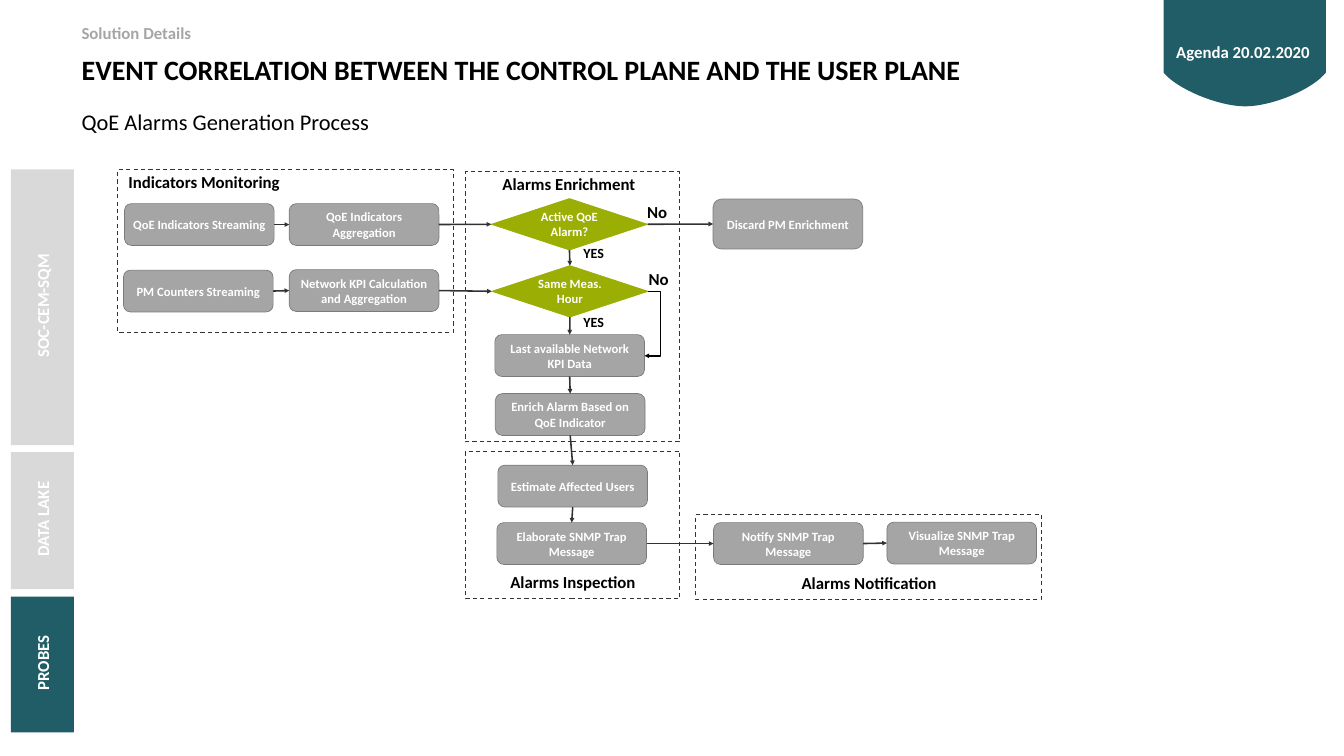
from lxml import etree
from pptx import Presentation, util as u
from pptx.dml.color import RGBColor
from pptx.enum import dml, shapes, text
from pptx.oxml.ns import qn

TEAL, PALE, GREY, EDGE = "215D66", "D9D9D9", "A5A5A5", "7A7A7A"
GREEN, DARK, BLACK, WHITE = "9AAE04", "323232", "000000", "FFFFFF"
TOP, LEFT, BOTTOM, RIGHT = range(4)
CENTER = text.PP_ALIGN.CENTER
MIDDLE = text.MSO_ANCHOR.MIDDLE


def colour(value):
    return RGBColor.from_string(value)


def write(shape, words, size=18, color=BLACK, bold=True, align=None,
          anchor=text.MSO_ANCHOR.TOP, margins=(0.1, 0.05, 0.1, 0.05), spacing=None):
    frame = shape.text_frame
    frame.word_wrap = True
    frame.auto_size = text.MSO_AUTO_SIZE.NONE
    frame.vertical_anchor = anchor
    frame.margin_left, frame.margin_top, frame.margin_right, frame.margin_bottom = map(u.Inches, margins)
    frame.text = words
    paragraph = frame.paragraphs[0]
    paragraph.alignment = align or text.PP_ALIGN.LEFT
    paragraph.line_spacing = spacing
    font = paragraph.runs[0].font
    font.name, font.size, font.bold = "Calibri", u.Pt(size), bold
    font.color.rgb = colour(color)


class Diagram:
    def __init__(self, slide):
        self.slide = slide

    def title(self, words, *box):
        shape = self.slide.shapes.title
        shape.left, shape.top, shape.width, shape.height = map(u.Inches, box)
        write(shape, words, size=40, margins=(0.1,) * 4)

    def label(self, words, *box, **style):
        write(self.slide.shapes.add_textbox(*map(u.Inches, box)), words, **style)

    def paint(self, shape, fill=None, line=None, width=1):
        shape.shadow.inherit = False
        for part, value in ((shape.fill, fill), (shape.line.fill, line)):
            if value:
                part.solid()
                part.fore_color.rgb = colour(value)
            else:
                part.background()
        if line:
            shape.line.width = u.Pt(width)

    def block(self, kind, box, **look):
        shape = self.slide.shapes.add_shape(kind, *map(u.Inches, box))
        self.paint(shape, **look)
        return shape

    def step(self, words, left, top, width=2.97, height=0.83):
        shape = self.block(shapes.MSO_SHAPE.ROUNDED_RECTANGLE, (left, top, width, height), fill=GREY, line=EDGE)
        write(shape, words, color=WHITE, align=CENTER, anchor=MIDDLE)
        return shape

    def decision(self, words, left, top):
        shape = self.block(shapes.MSO_SHAPE.DIAMOND, (left, top, 3.1, 1.02), fill=GREEN, line=GREEN)
        write(shape, words, color=WHITE, align=CENTER, anchor=MIDDLE)
        return shape

    def stage(self, *box):
        shape = self.block(shapes.MSO_SHAPE.RECTANGLE, box, line=DARK, width=1.5)
        shape.line.dash_style = dml.MSO_LINE.DASH

    def tab(self, words, top, length, fill):
        breadth, middle = 1.25, 0.84
        box = (middle - length / 2, top + (length - breadth) / 2, length, breadth)
        shape = self.block(shapes.MSO_SHAPE.RECTANGLE, box, fill=fill)
        shape.rotation = 270
        write(shape, words, size=24, color=WHITE, align=CENTER, anchor=MIDDLE,
              margins=(0.16, 0.05, 0.1, 0.05))

    def connector(self, kind, points, color):
        line = self.slide.shapes.add_connector(kind, *map(u.Inches, points))
        line.line.width = u.Pt(2.25)
        line.line.color.rgb = colour(color)
        properties = line._element.spPr
        etree.SubElement(properties.find(qn("a:ln")), qn("a:tailEnd"), type="triangle")
        etree.SubElement(properties, qn("a:effectLst"))
        return line

    def arrow(self, source, target, leaving, entering):
        line = self.connector(shapes.MSO_CONNECTOR.STRAIGHT, (0, 0, 1, 1), DARK)
        line.begin_connect(source, leaving)
        line.end_connect(target, entering)

    def elbow(self, start, end, turn):
        line = self.connector(shapes.MSO_CONNECTOR.ELBOW, (*start, *end), BLACK)
        share = round((turn - start[0]) / (end[0] - start[0]) * 100000)
        guides = line._element.spPr.find(qn("a:prstGeom")).get_or_add_avLst()
        etree.SubElement(guides, qn("a:gd"), name="adj1", fmla=f"val {share}")

    def ribbon(self, left, right, shoulder, tip):
        def curve(*controls, count=16):
            weights = (1, 3, 3, 1)
            for index in range(1, count + 1):
                t = index / count
                yield tuple(u.Inches(sum(w * (1 - t) ** (3 - k) * t ** k * point[axis]
                                         for k, (w, point) in enumerate(zip(weights, controls))))
                            for axis in (0, 1))

        bottom = (24.71, tip)
        outline = [(u.Inches(right), 0), (u.Inches(right), u.Inches(shoulder))]
        outline += curve((right, shoulder), (26.05, 1.77), (25.25, tip), bottom)
        outline += curve(bottom, (24.18, tip), (23.36, 1.77), (left, shoulder))
        builder = self.slide.shapes.build_freeform(u.Inches(left), 0)
        builder.add_line_segments(outline, close=True)
        self.paint(builder.convert_to_shape(), fill=TEAL)


def main():
    presentation = Presentation()
    presentation.slide_width, presentation.slide_height = u.Inches(26.67), u.Inches(15)
    diagram = Diagram(presentation.slides.add_slide(presentation.slide_layouts[5]))

    diagram.ribbon(23.09, 26.31, 1.44, 2.11)
    diagram.title("EVENT CORRELATION BETWEEN THE CONTROL PLANE AND THE USER PLANE", 1.52, 0.95, 20.59, 1.56)
    diagram.label("QoE Alarms Generation Process", 1.52, 2.1, 23.6, 0.64, size=32, bold=False)
    diagram.label("Solution Details", 1.52, 0.36, 10.83, 0.55, size=24, color="A6A6A6", margins=(0.1,) * 4)
    diagram.label("Agenda 20.02.2020", 22.67, 0.31, 3.99, 1.47, size=24, color=WHITE,
                  align=CENTER, anchor=MIDDLE, spacing=0.9)

    for words, top, length, fill in (("SOC-CEM-SQM", 3.36, 5.47, PALE),
                                     ("DATA LAKE", 8.97, 2.72, PALE),
                                     ("PROBES", 11.84, 2.69, TEAL)):
        diagram.tab(words, top, length, fill)

    for box in ((2.34, 3.37, 6.65, 3.23), (9.23, 3.41, 4.25, 5.36),
                (9.24, 8.95, 4.25, 2.93), (13.81, 10.21, 6.86, 1.68)):
        diagram.stage(*box)

    streaming = diagram.step("QoE Indicators Streaming", 2.47, 4.04)
    aggregation = diagram.step("QoE Indicators Aggregation", 5.74, 4.04)
    counters = diagram.step("PM Counters Streaming", 2.45, 5.36)
    calculation = diagram.step("Network KPI Calculation and Aggregation", 5.74, 5.35)
    active = diagram.decision("Active QoE Alarm?", 9.75, 3.94)
    same_hour = diagram.decision("Same Meas. Hour", 9.76, 5.27)
    last_data = diagram.step("Last available Network KPI Data", 9.82, 6.64)
    enrich = diagram.step("Enrich Alarm Based on QoE Indicator", 9.83, 7.81)
    estimate = diagram.step("Estimate Affected Users", 9.88, 9.23)
    elaborate = diagram.step("Elaborate SNMP Trap Message", 9.86, 10.37)
    notify = diagram.step("Notify SNMP Trap Message", 14.16, 10.37)
    visualize = diagram.step("Visualize SNMP Trap Message", 17.6, 10.36)
    discard = diagram.step("Discard PM Enrichment", 14.15, 3.95, height=0.99)

    for row in ((streaming, aggregation, active, discard), (counters, calculation, same_hour),
                (elaborate, notify, visualize)):
        for source, target in zip(row, row[1:]):
            diagram.arrow(source, target, RIGHT, LEFT)
    column = (active, same_hour, last_data, enrich, estimate, elaborate)
    for source, target in zip(column, column[1:]):
        diagram.arrow(source, target, BOTTOM, TOP)
    diagram.elbow((12.86, 5.78), (12.79, 7.06), turn=13.11)

    diagram.label("Indicators Monitoring", 2.45, 3.36, 4.44, 0.46, size=24)
    for words, left, top, width in (("Alarms Enrichment", 9.01, 3.39, 4.56),
                                    ("Alarms Inspection", 9.42, 11.3, 3.9),
                                    ("Alarms Notification", 15.03, 11.32, 4.43),
                                    ("No", 12.59, 3.95, 0.9), ("No", 12.62, 5.29, 0.9)):
        diagram.label(words, left, top, width, 0.46, size=24, align=CENTER)
    for left, top, width in ((11.33, 4.81, 0.9), (11.43, 6.18, 0.7)):
        diagram.label("YES", left, top, width, 0.44, size=20, align=CENTER)

    presentation.save("out.pptx")


if __name__ == "__main__":
    main()
